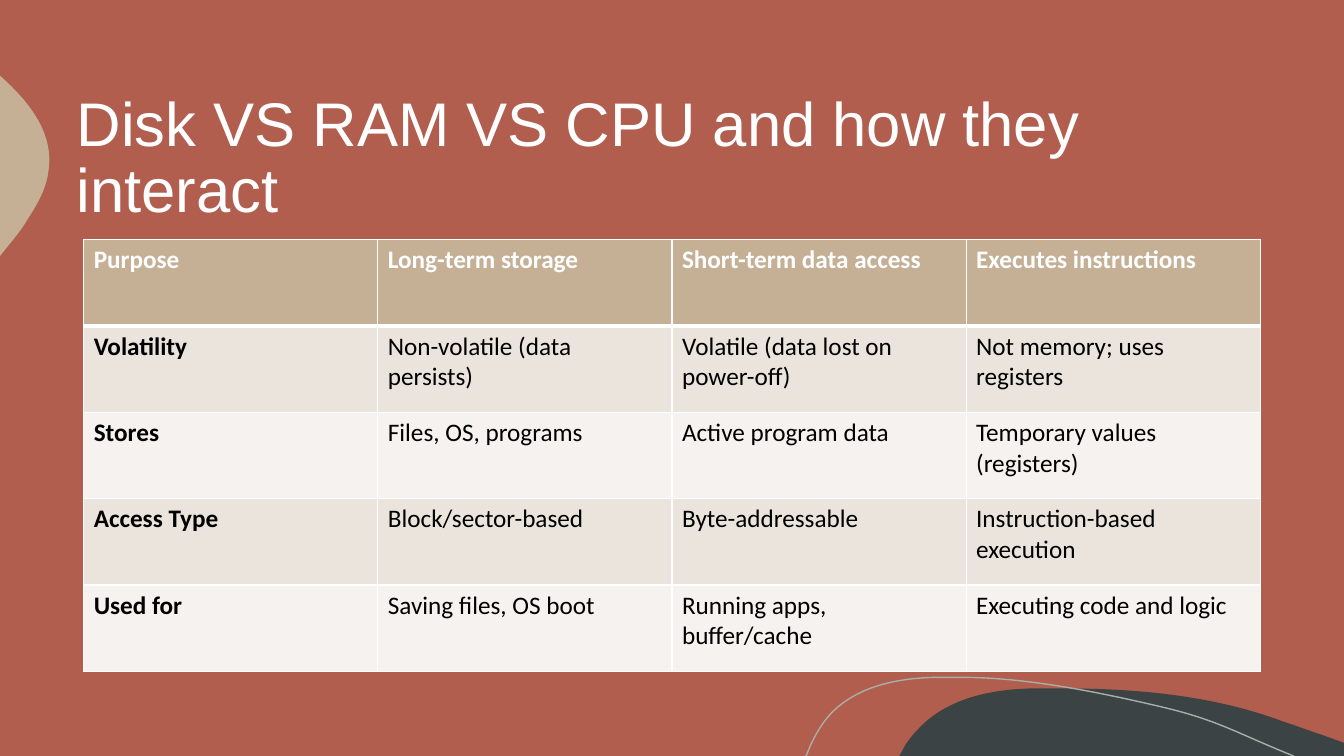
from lxml import etree
from pptx import Presentation
from pptx.dml.color import RGBColor
from pptx.enum.text import MSO_ANCHOR, MSO_AUTO_SIZE, PP_ALIGN
from pptx.oxml.ns import qn
from pptx.util import Inches, Pt

CLAY, SAND, SLATE, SAGE = "B15E4E", "C5B096", "3B4345", "A9AEA7"
WHITE, BLACK = "FFFFFF", "000000"
BANDS = ["EAE4DD", "F5F2EF"]

# Offsets in inches from the box: a pair is a line, six numbers are a cubic curve.
SLATE_HILL = [
    (1.62, 0), (2.36, 0, 3.12, 0.07, 3.81, 0.33),
    (3.94, 0.37, 4.06, 0.42, 4.19, 0.46), (4.41, 0.54), (4.41, 0.67),
    (0, 0.67), (0.06, 0.56), (0.1, 0.5, 0.14, 0.45, 0.19, 0.4),
    (0.47, 0.1, 0.9, 0.01, 1.31, 0), (1.41, 0, 1.51, 0, 1.62, 0),
]
SAND_BLOB = [
    (0, 0), (0.01, 0.01), (0.3, 0.27, 0.54, 0.58, 0.48, 0.95),
    (0.46, 1.12, 0.37, 1.28, 0.27, 1.43),
    (0.24, 1.49, 0.17, 1.58, 0.08, 1.69), (0, 1.79),
]
SAGE_ARC = [
    (0, 0.78), (0.01, 0.77), (0.07, 0.61, 0.15, 0.47, 0.25, 0.36),
    (0.51, 0.09, 0.9, 0.01, 1.27, 0), (1.56, 0),
    (2.23, 0, 3.01, 0.17, 3.56, 0.3), (4.1, 0.43, 4.27, 0.55, 4.84, 0.78),
]
ROWS = [
    ["Purpose", "Long-term storage", "Short-term data access",
     "Executes instructions"],
    ["Volatility", "Non-volatile (data persists)",
     "Volatile (data lost on power-off)", "Not memory; uses registers"],
    ["Stores", "Files, OS, programs", "Active program data",
     "Temporary values (registers)"],
    ["Access Type", "Block/sector-based", "Byte-addressable",
     "Instruction-based execution"],
    ["Used for", "Saving files, OS boot", "Running apps, buffer/cache",
     "Executing code and logic"],
]


def color(value):
    return RGBColor.from_string(value)


def write(frame, text, size, font, fill, bold=False, spacing=None):
    para = frame.paragraphs[0]
    para.alignment = PP_ALIGN.LEFT
    para.line_spacing = spacing
    span = para.add_run()
    span.text = text
    span.font.size, span.font.name, span.font.bold = Pt(size), font, bold
    span.font.color.rgb = color(fill)


def bend(shape, outline):
    """Turn the straight segments that have control points into cubic curves."""
    segments = shape._element.xpath(".//a:lnTo")
    for segment, step in zip(segments, outline[1:]):
        if len(step) == 6:
            curve = etree.Element(qn("a:cubicBezTo"))
            for x, y in zip(step[::2], step[1::2]):
                etree.SubElement(curve, qn("a:pt"),
                                 x=str(Inches(x)), y=str(Inches(y)))
            segment.getparent().replace(segment, curve)


def add_outline(slide, left, top, outline, fill=None, line=None):
    points = [(Inches(left + step[-2]), Inches(top + step[-1])) for step in outline]
    builder = slide.shapes.build_freeform(*points[0], scale=1.0)
    builder.add_line_segments(points[1:], close=fill is not None)
    shape = builder.convert_to_shape()
    bend(shape, outline)
    shape.shadow.inherit = False
    if fill:
        shape.fill.solid()
        shape.fill.fore_color.rgb = color(fill)
    else:
        shape.fill.background()
    if line:
        shape.line.color.rgb = color(line)
        shape.line.width = Pt(1)
    else:
        shape.line.fill.background()


def add_backdrop(slide):
    slide.background.fill.solid()
    slide.background.fill.fore_color.rgb = color(CLAY)
    add_outline(slide, 8.92, 6.83, SLATE_HILL, fill=SLATE)
    add_outline(slide, 0, 0.75, SAND_BLOB, fill=SAND)
    add_outline(slide, 7.99, 6.72, SAGE_ARC, line=SAGE)


def add_title(slide, text, left, top, width, height):
    title = slide.shapes.title
    title.left, title.top = Inches(left), Inches(top)
    title.width, title.height = Inches(width), Inches(height)
    frame = title.text_frame
    frame.word_wrap = True
    frame.auto_size = MSO_AUTO_SIZE.NONE
    frame.vertical_anchor = MSO_ANCHOR.MIDDLE
    write(frame, text, 44, "Arial", WHITE, spacing=0.9)


def set_borders(cell, top, bottom):
    """Draw white cell borders; top and bottom are widths in points."""
    properties = cell._tc.get_or_add_tcPr()
    for side, width in (("L", 1), ("R", 1), ("T", top), ("B", bottom)):
        border = etree.SubElement(properties, qn(f"a:ln{side}"), w=str(Pt(width)))
        paint = etree.SubElement(border, qn("a:solidFill"))
        etree.SubElement(paint, qn("a:srgbClr"), val=WHITE)


def add_comparison(slide, left, top, width, height):
    table = slide.shapes.add_table(
        len(ROWS), len(ROWS[0]), Inches(left), Inches(top),
        Inches(width), Inches(height)).table
    for r, texts in enumerate(ROWS):
        header = r == 0
        for c, text in enumerate(texts):
            cell = table.cell(r, c)
            set_borders(cell, 3 if r == 1 else 1, 3 if header else 1)
            cell.fill.solid()
            cell.fill.fore_color.rgb = color(SAND if header else BANDS[(r - 1) % 2])
            write(cell.text_frame, text, 18, "Calibri",
                  WHITE if header else BLACK, bold=header or c == 0)


def main():
    deck = Presentation()
    deck.slide_width, deck.slide_height = Inches(13.33), Inches(7.5)
    slide = deck.slides.add_slide(deck.slide_layouts[5])
    add_backdrop(slide)
    add_title(slide, "Disk VS RAM VS CPU and how they interact",
              0.66, 0.79, 12, 1.59)
    add_comparison(slide, 0.83, 2.38, 11.67, 4.28)
    deck.save("out.pptx")


if __name__ == "__main__":
    main()
